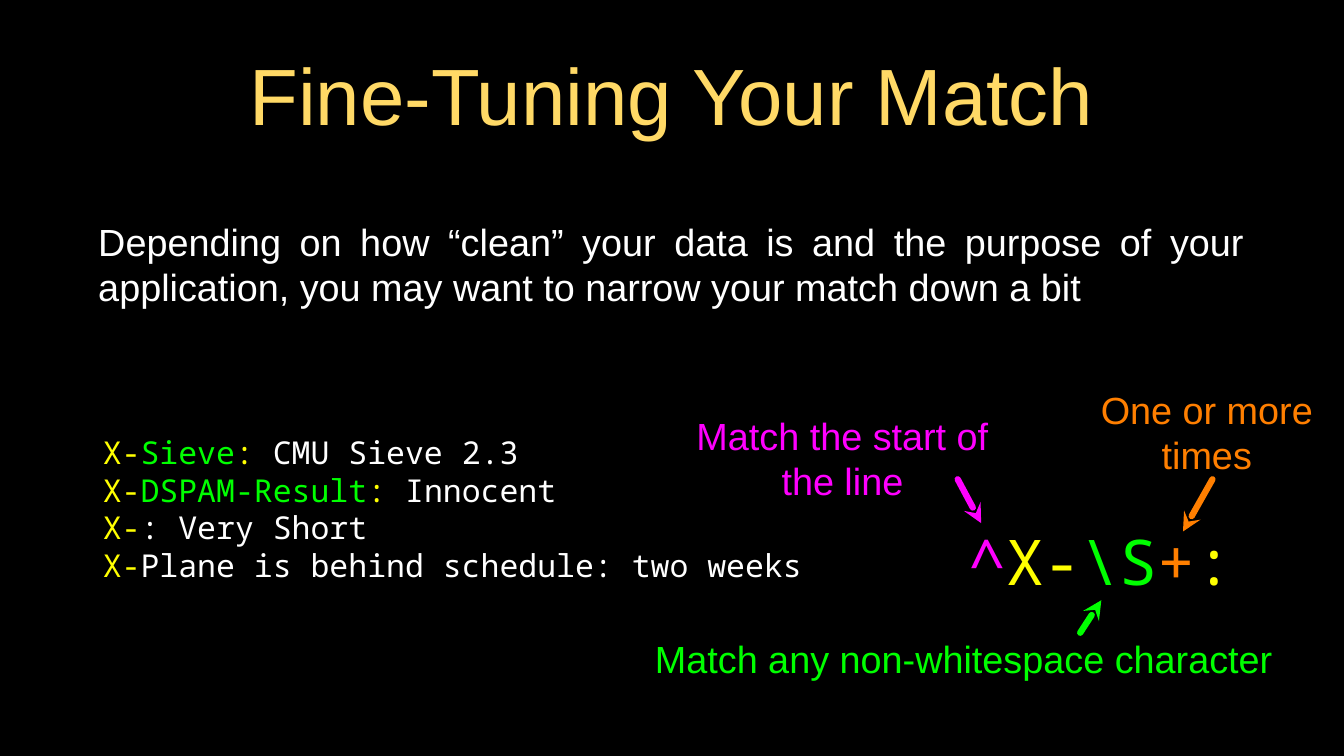
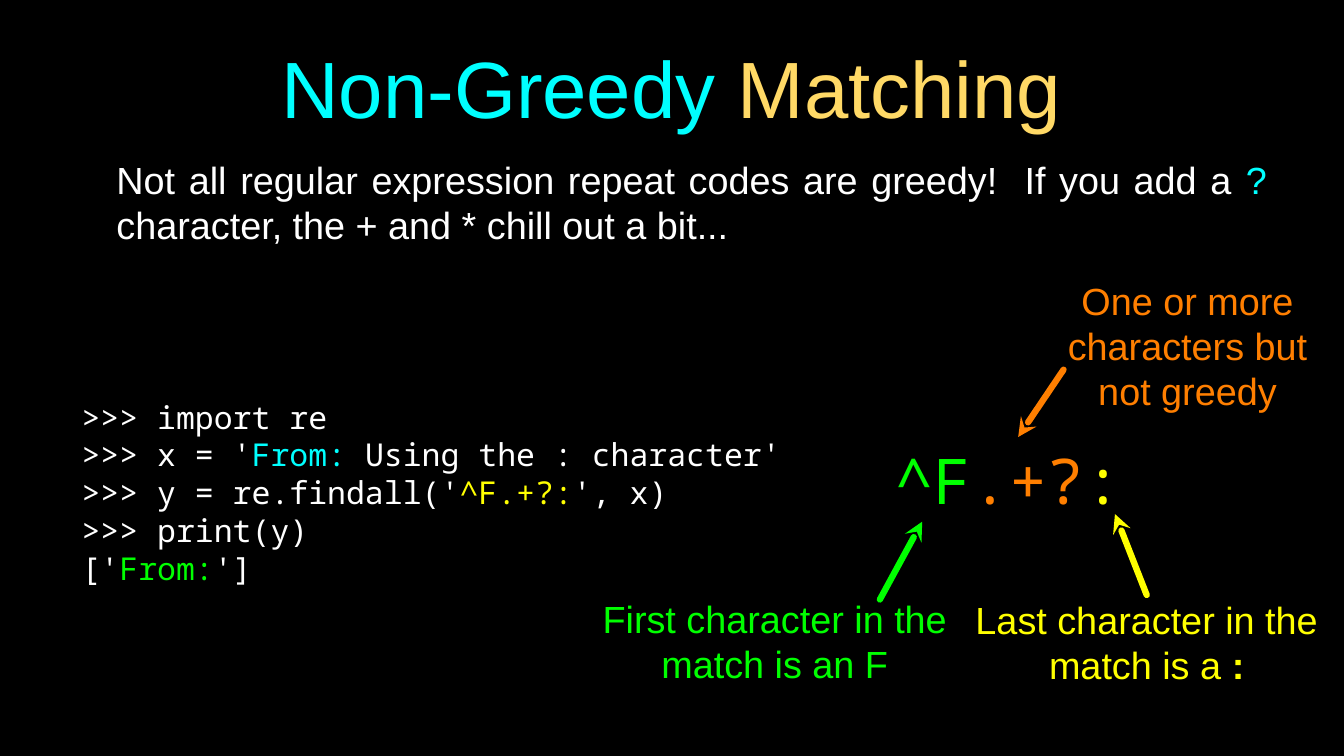
from lxml import etree
from pptx import Presentation
from pptx.dml.color import RGBColor
from pptx.enum import shapes, text
from pptx.oxml import ns
from pptx.util import Inches, Pt

BLACK = RGBColor(0x00, 0x00, 0x00)
WHITE = RGBColor(0xFF, 0xFF, 0xFF)
GOLD = RGBColor(0xFF, 0xD9, 0x66)
CYAN = RGBColor(0x00, 0xFF, 0xFF)
YELLOW = RGBColor(0xFF, 0xFF, 0x00)
GREEN = RGBColor(0x00, 0xFF, 0x00)
ORANGE = RGBColor(0xFF, 0x7F, 0x00)
MAGENTA = RGBColor(0xFF, 0x00, 0xFF)

SANS, MONO = "Arial", "Noto Sans Mono"
LEFT, CENTER, JUSTIFY = text.PP_ALIGN.LEFT, text.PP_ALIGN.CENTER, text.PP_ALIGN.JUSTIFY
TOP, MIDDLE = text.MSO_ANCHOR.TOP, text.MSO_ANCHOR.MIDDLE

# Each style: font, size, line pitch in points, alignment, anchor, inset in inches
TITLE = (SANS, 76, None, CENTER, MIDDLE, 0.04)
BODY = (SANS, 36, 43, JUSTIFY, TOP, 0.04)
CODE = (MONO, 30, 36, LEFT, MIDDLE, 0)
PATTERN = (MONO, 60, None, CENTER, MIDDLE, 0)
LABEL = (SANS, 36, 43, CENTER, MIDDLE, 0)


def add_text(slide, style, place, lines, indent=0):
    """Add a text box; each line is a list of (words, colour) spans."""
    font, size, pitch, align, anchor, inset = style
    box = slide.shapes.add_textbox(*map(Inches, place))
    frame = box.text_frame
    frame.word_wrap = True
    frame.vertical_anchor = anchor
    frame.margin_left = frame.margin_right = Inches(inset)
    frame.margin_top = frame.margin_bottom = Inches(inset)
    for number, spans in enumerate(lines):
        para = frame.add_paragraph() if number else frame.paragraphs[0]
        para.alignment = align
        if pitch:
            para.line_spacing = Pt(pitch)
        if indent:
            para._p.get_or_add_pPr().set("marL", str(Inches(indent)))
        para.font.name = font
        para.font.size = Pt(size)
        if len(spans) == 1:
            para.font.color.rgb = spans[0][1]
        for words, colour in spans:
            span = para.add_run()
            span.text = words
            if len(spans) > 1:
                span.font.color.rgb = colour
    return box


def add_arrow(slide, tip, end, colour):
    """Draw a thick round-capped line with a stealth head at tip."""
    arrow = slide.shapes.add_connector(
        shapes.MSO_CONNECTOR.STRAIGHT, *map(Inches, tip + end))
    arrow.line.color.rgb = colour
    arrow.line.width = Pt(6)
    outline = arrow.line._get_or_add_ln()
    outline.set("cap", "rnd")
    etree.SubElement(outline, ns.qn("a:round"))
    etree.SubElement(outline, ns.qn("a:headEnd"), type="stealth")
    etree.SubElement(arrow._element.spPr, ns.qn("a:effectLst"))


deck = Presentation()
deck.slide_width, deck.slide_height = Inches(17.78), Inches(10)
backdrop = deck.slide_master.background.fill
backdrop.solid()
backdrop.fore_color.rgb = BLACK
blank = deck.slide_layouts[6]

# Slide 1: fine-tuning
page = deck.slides.add_slide(blank)
add_text(page, TITLE, (1.26, 0.29, 15.24, 1.89), [[("Fine-Tuning Your Match", GOLD)]])
add_text(page, BODY, (1.26, 2.85, 15.24, 1.71), [[(
    "Depending on how “clean” your data is and the purpose of your "
    "application, you may want to narrow your match down a bit", WHITE)]])

headers = [
    [("Sieve", GREEN), (": ", YELLOW), ("CMU Sieve 2.3", WHITE)],
    [("DSPAM-Result", GREEN), (": ", YELLOW), ("Innocent", WHITE)],
    [(": Very Short", WHITE)],
    [("Plane is behind schedule: two weeks", WHITE)],
]
add_text(page, CODE, (1.36, 5.09, 9.6, 3.27),
         [[("X-", YELLOW)] + header for header in headers])
add_text(page, PATTERN, (12.78, 6.88, 3.56, 1.07), [[
    ("^", MAGENTA), ("X-", YELLOW), ("\\S", GREEN), ("+", ORANGE), (":", YELLOW)]])

for words, place, tip, end, colour in [
    ("Match the start of the line", (9.02, 5.4, 4.25, 1.31),
     (12.98, 6.92), (12.67, 6.34), MAGENTA),
    ("Match any non-whitespace character", (8.23, 8.37, 9.04, 0.68),
     (14.57, 7.94), (14.29, 8.37), GREEN),
    ("One or more times", (14.29, 5.09, 3.35, 1.25),
     (15.65, 7.03), (16.04, 6.34), ORANGE),
]:
    add_text(page, LABEL, place, [[(words, colour)]])
    add_arrow(page, tip, end, colour)

# Slide 2: non-greedy matching
page = deck.slides.add_slide(blank)
add_text(page, TITLE, (1.26, 0.66, 15.24, 0.98),
         [[("Non-Greedy", CYAN), (" Matching", GOLD)]])
add_text(page, BODY, (1.09, 2.04, 15.71, 1.67), [[
    ("Not all regular expression repeat codes are greedy!  If you add a ", WHITE),
    ("?", CYAN),
    (" character, the + and * chill out a bit...", WHITE)]], indent=0.41)

add_text(page, CODE, (1.08, 5.03, 10.97, 2.96), [
    [(">>> import re", WHITE)],
    [(">>> x = '", WHITE), ("From: ", CYAN), ("Using the : character'", WHITE)],
    [(">>> y = re.findall('", WHITE), ("^F.+?:", YELLOW), ("', x)", WHITE)],
    [(">>> print(y)", WHITE)],
    [("['", WHITE), ("From:", GREEN), ("']", WHITE)],
])
pattern = add_text(page, PATTERN, (11.85, 5.78, 3.24, 1.12),
                   [[("^F", GREEN), (".+?", ORANGE), (":", YELLOW)]])
pattern.text_frame.paragraphs[0].alignment = LEFT

for spans, place, tip, end in [
    ([("One or more characters but not greedy", ORANGE)],
     (13.94, 3.66, 3.54, 1.82), (13.47, 5.78), (14.07, 4.89)),
    ([("First character in the match is an F", GREEN)],
     (7.97, 7.85, 4.56, 1.25), (12.2, 6.9), (11.64, 7.93)),
    ([("Last character in the match is a ", YELLOW), (":", YELLOW)],
     (12.89, 7.87, 4.56, 1.25), (14.75, 6.8), (15.17, 7.87)),
]:
    label = add_text(page, LABEL, place, [spans])
    add_arrow(page, tip, end, spans[0][1])
label.text_frame.paragraphs[0].runs[-1].font.bold = True  # the final colon

deck.save("out.pptx")
